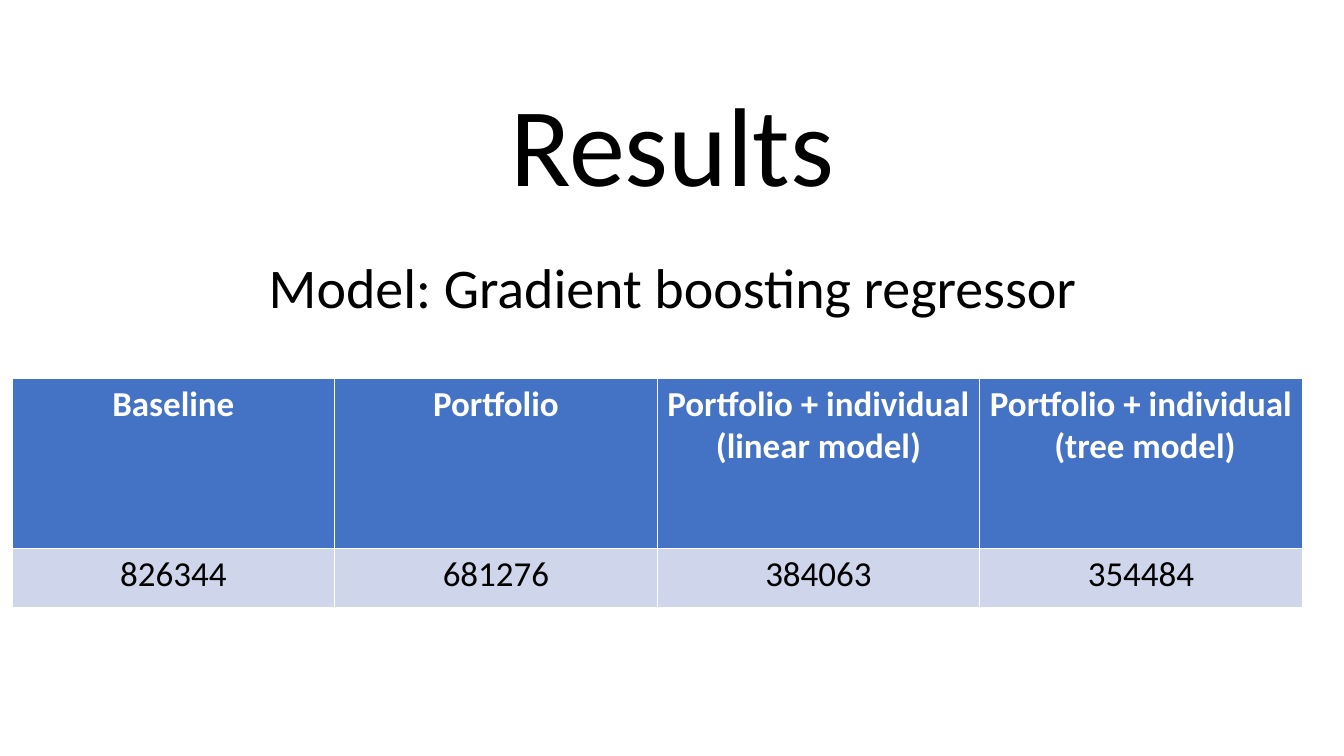
from dataclasses import dataclass

from pptx import Presentation
from pptx.dml.color import RGBColor as Rgb
from pptx.enum.text import MSO_ANCHOR as Anchor, PP_ALIGN as Align
from pptx.util import Inches, Pt


@dataclass(frozen=True)
class Theme:
    font: str = "Calibri"
    ink: str = "000000"
    paper: str = "FFFFFF"
    head: str = "4472C4"
    band: str = "CFD5EA"
    title: int = 80
    sub: int = 40
    cell: int = 25


class Deck:
    """Holds the theme and the current slide; lengths are percent of its size."""

    def __init__(self, theme):
        self.theme = theme
        self.prs = Presentation()
        self.prs.slide_width = Inches(13.33)
        self.prs.slide_height = Inches(7.5)
        self.slide = self.prs.slides.add_slide(self.prs.slide_layouts[5])
        self.paint(self.slide.background.fill, theme.paper)

    def across(self, share):
        return round(self.prs.slide_width * share / 100)

    def down(self, share):
        return round(self.prs.slide_height * share / 100)

    def paint(self, fill, color):
        fill.solid()
        fill.fore_color.rgb = Rgb.from_string(color)

    def set_text(self, frame, text, size, color, bold=False, space=None):
        frame.text = text
        for par in frame.paragraphs:
            par.alignment = Align.CENTER
            par.line_spacing = space
            font = par.font
            font.name, font.size, font.bold = self.theme.font, Pt(size), bold
            font.color.rgb = Rgb.from_string(color)

    def line(self, shape, text, top, size):
        """Place a centred line of text across the slide's main column."""
        shape.left, shape.top = self.across(6.9), self.down(top)
        shape.width, shape.height = self.across(86.27), self.down(19.33)
        frame = shape.text_frame
        frame.word_wrap = True
        frame.vertical_anchor = Anchor.MIDDLE
        self.set_text(frame, text, size, self.theme.ink, space=0.9)

    def title(self, text, top):
        self.line(self.slide.shapes.title, text, top, self.theme.title)

    def label(self, text, top):
        box = self.slide.shapes.add_textbox(0, 0, 0, 0)
        self.line(box, text, top, self.theme.sub)

    def table(self, rows, left, top, wide, highs):
        look = self.theme
        size = len(rows), len(rows[0])
        grid = self.slide.shapes.add_table(
            *size, self.across(left), self.down(top),
            self.across(wide * size[1]), self.down(sum(highs))).table
        for col in grid.columns:
            col.width = self.across(wide)
        for r, (row, high) in enumerate(zip(rows, highs)):
            grid.rows[r].height = self.down(high)
            first = r == 0
            back = look.head if first else look.band
            color = look.paper if first else look.ink
            for c, text in enumerate(row):
                cell = grid.cell(r, c)
                self.paint(cell.fill, back)
                self.set_text(cell.text_frame, text, look.cell, color, first)


def main():
    deck = Deck(Theme())

    # Headings
    deck.title("Results", 10.27)
    deck.label("Model: Gradient boosting regressor", 28.8)

    # Score of each model
    deck.table(
        [
            ["Baseline", "Portfolio",
             "Portfolio + individual\n(linear model)",
             "Portfolio + individual\n (tree model)"],
            ["826344", "681276", "384063", "354484"],
        ],
        left=0.9, top=50, wide=24, highs=(22.53, 7.87))

    deck.prs.save("out.pptx")


if __name__ == "__main__":
    main()
